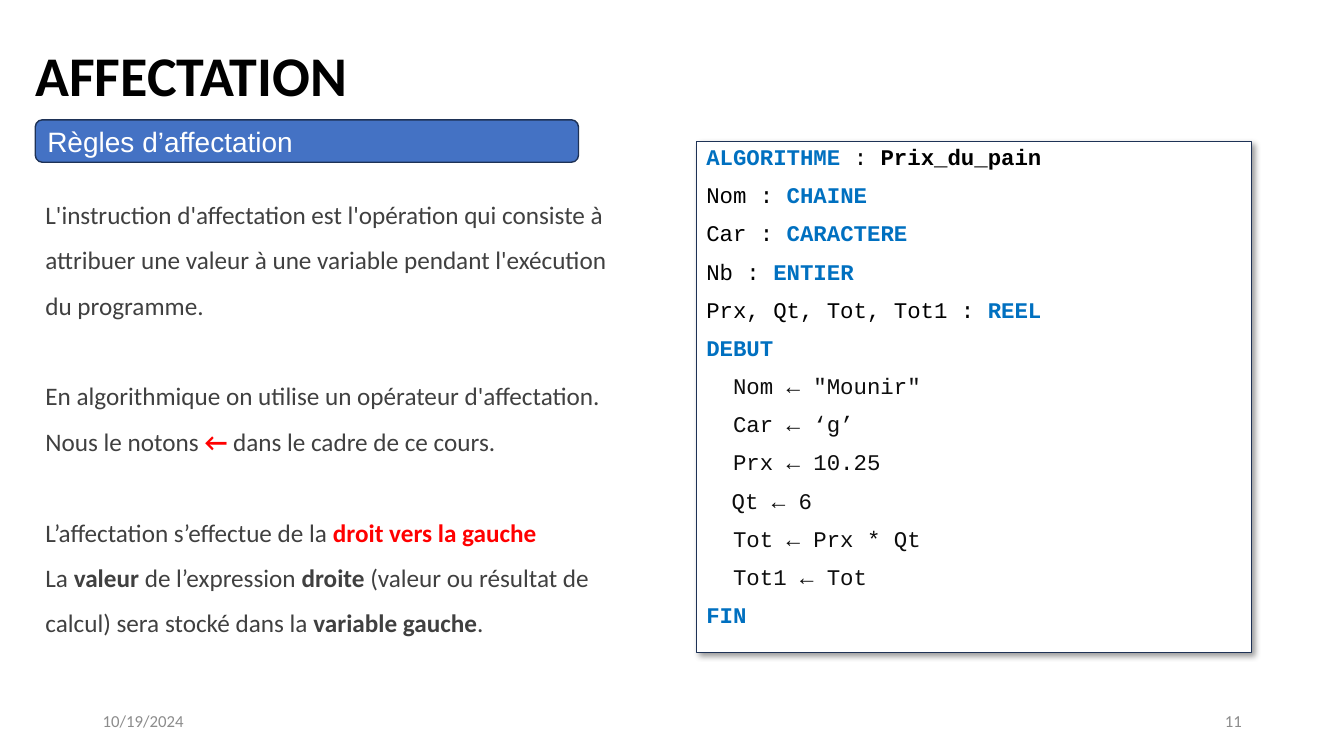
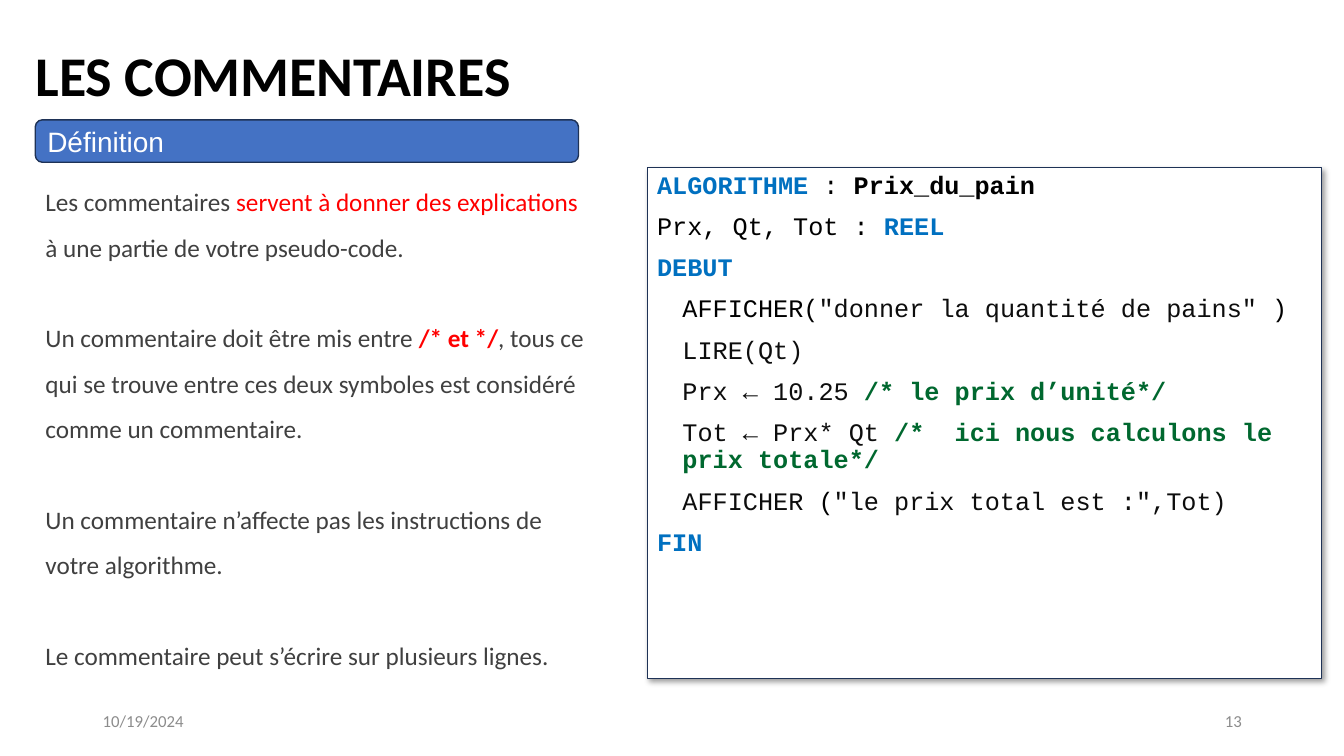
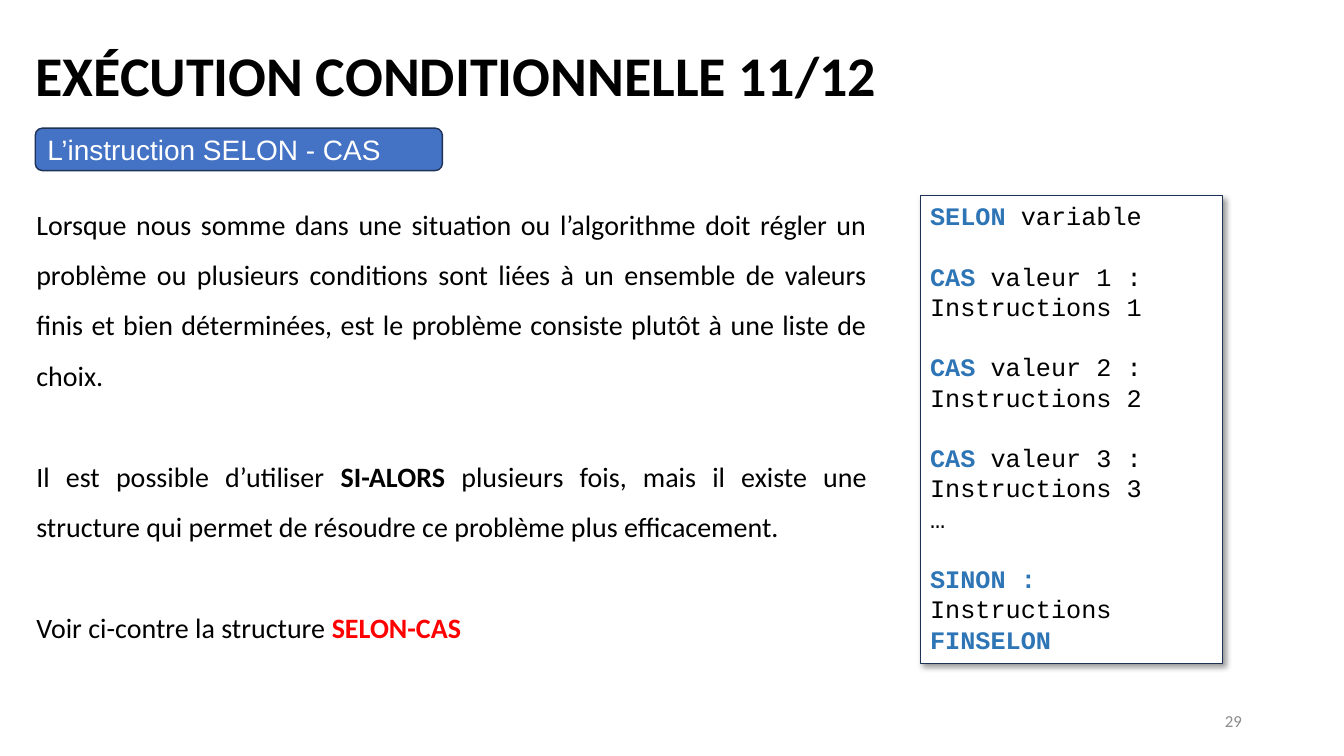
"""Builds three slides of an algorithmics course."""
from dataclasses import dataclass, field

from lxml import etree
from pptx import Presentation
from pptx.dml.color import RGBColor
from pptx.enum.shapes import MSO_SHAPE
from pptx.enum.text import MSO_ANCHOR, MSO_AUTO_SIZE, PP_ALIGN
from pptx.oxml.ns import qn
from pptx.util import Cm, Pt

TOP, MIDDLE = MSO_ANCHOR.TOP, MSO_ANCHOR.MIDDLE
LEFT, RIGHT, JUSTIFY = PP_ALIGN.LEFT, PP_ALIGN.RIGHT, PP_ALIGN.JUSTIFY
FIXED = MSO_AUTO_SIZE.NONE
RECT, ROUND = MSO_SHAPE.RECTANGLE, MSO_SHAPE.ROUNDED_RECTANGLE


def tones():
    """Return colour and weight for each run style."""
    return {
        "black": ("000000", False), "strong": ("000000", True),
        "grey": ("404040", False), "bold": ("404040", True),
        "red": ("FF0000", False), "alert": ("FF0000", True),
        "ink": ("0D0D0D", False), "key": ("0070C0", True),
        "case": ("2E75B6", True), "note": ("00682F", True),
        "white": ("FFFFFF", False), "foot": ("8C8C8C", False),
    }


@dataclass(frozen=True)
class Theme:
    """Hold the colours, fonts and type sizes."""
    sans: str = "Calibri"
    label: str = "Arial"
    mono: str = "Courier New"
    band: str = "4472C4"
    edge: str = "1E3256"
    paper: str = "FFFFFF"
    title: int = 40
    large: int = 20
    text: int = 18
    small: int = 16
    foot: int = 12
    tone: dict = field(default_factory=tones)


THEME = Theme()


def put(item, **vals):
    """Set attributes from format values."""
    for name, val in vals.items():
        setattr(item, name, val)


def place(shape, box):
    """Move a shape to a box given in centimetres."""
    put(shape, **dict(zip(("left", "top", "width", "height"), map(Cm, box))))


def add_run(para, part, tone, font, size):
    """Add one run, a plain string or a (text, tone) pair."""
    text, tone = (part, tone) if isinstance(part, str) else part
    hue, bold = THEME.tone[tone]
    run = para.add_run()
    run.text = text
    put(run.font, name=font, size=Pt(size), bold=bold)
    run.font.color.rgb = RGBColor.from_string(hue)


def write(shape, blocks, tone, font, size, anchor=TOP, align=LEFT,
          lead=1.0, step=0, gap=0, hang=0):
    """Write blocks of paragraphs, with a gap between blocks."""
    frame = shape.text_frame
    put(frame, word_wrap=True, auto_size=FIXED, vertical_anchor=anchor)
    para = None
    for block in blocks:
        for row, parts in enumerate(block):
            before = 0 if para is None else step if row else gap
            para = frame.paragraphs[0] if para is None else frame.add_paragraph()
            props = para._p.get_or_add_pPr()
            props.set("marL", str(Cm(hang)))
            props.set("indent", str(-Cm(hang)))
            etree.SubElement(props, qn("a:buNone"))
            put(para, alignment=align, line_spacing=lead,
                space_before=Pt(before))
            for part in parts:
                add_run(para, part, tone, font, size)


def add_box(slide, kind, box, fill, width):
    """Add a filled and outlined shape without a shadow."""
    shape = slide.shapes.add_shape(kind, *map(Cm, box))
    shape.shadow.inherit = False
    shape.fill.solid()
    shape.fill.fore_color.rgb = RGBColor.from_string(fill)
    shape.line.color.rgb = RGBColor.from_string(THEME.edge)
    shape.line.width = Pt(width)
    return shape


def add_band(slide, text, top=3.02, width=13.69):
    """Add the rounded subtitle band."""
    shape = add_box(slide, ROUND, (0.89, top, width, 1.07), THEME.band, 1)
    write(shape, [[[text]]], "white", THEME.label, THEME.large, MIDDLE)


def add_code(slide, box, blocks, size, **form):
    """Add a code panel with a soft shadow."""
    shape = add_box(slide, RECT, box, THEME.paper, 0.75)
    glow = etree.SubElement(
        shape.element.spPr.find(qn("a:effectLst")), qn("a:outerShdw"),
        blurRad=str(Pt(4)), dist=str(Pt(3)), dir="2700000", algn="tl",
        rotWithShape="0")
    hue = etree.SubElement(glow, qn("a:srgbClr"), val="000000")
    etree.SubElement(hue, qn("a:alpha"), val="40000")
    write(shape, blocks, "black", THEME.mono, size, **form)


def add_foot(slide, left, text, align):
    """Add one footer text."""
    shape = slide.shapes.add_textbox(*map(Cm, (left, 17.65, 7.62, 1.02)))
    write(shape, [[[text]]], "foot", THEME.sans, THEME.foot, MIDDLE, align)


def add_slide(deck, title, page, date=""):
    """Add a slide with its title and footers."""
    slide = deck.slides.add_slide(deck.slide_layouts[1])
    place(slide.shapes.title, (0.64, 0.89, 29.21, 1.96))
    write(slide.shapes.title, [[[title]]], "strong", THEME.sans, THEME.title)
    if date:
        add_foot(slide, 2.34, date, LEFT)
    add_foot(slide, 23.93, page, RIGHT)
    return slide


def add_body(slide, box, blocks, tone, size, **form):
    """Fill the body placeholder."""
    shape = slide.placeholders[1]
    place(shape, box)
    write(shape, blocks, tone, THEME.sans, size, lead=1.5, **form)


def assign(deck, date, prose, listing):
    """Build the slide on assignment."""
    slide = add_slide(deck, "AFFECTATION", "11", date)
    add_band(slide, "Règles d’affectation")
    add_body(slide, (0.89, 4.27, 15.42, 12.17), [
        [["L'instruction d'affectation est l'opération qui consiste à "
          "attribuer une valeur à une variable pendant l'exécution du "
          "programme."]],
        [["En algorithmique on utilise un opérateur d'affectation."],
         ["Nous le notons ", ("←", "alert"), " dans le cadre de ce cours."]],
        [["L’affectation s’effectue de la ",
          ("droit vers la gauche", "alert")],
         ["La ", ("valeur", "bold"), " de l’expression ", ("droite", "bold"),
          " (valeur ou résultat de calcul) sera stocké dans la ",
          ("variable gauche", "bold"), "."]],
    ], **prose)
    types = [("Nom", "CHAINE"), ("Car", "CARACTERE"), ("Nb", "ENTIER"),
             ("Prx, Qt, Tot, Tot1", "REEL")]
    steps = ["  Nom ← \"Mounir\"", "  Car ← ‘g’", "  Prx ← 10.25",
             "\tQt ← 6", "  Tot ← Prx * Qt", "  Tot1 ← Tot"]
    add_code(slide, (17.55, 3.56, 14, 12.88), [[
        [("ALGORITHME ", "key"), ": ", ("Prix_du_pain", "strong")],
        *[[f"{name} : ", (kind, "key")] for name, kind in types],
        [("DEBUT", "key")],
        *[[(step, "ink")] for step in steps],
        [("FIN", "key")],
    ]], THEME.small, **listing)


def comment(deck, date, prose, listing):
    """Build the slide on comments."""
    slide = add_slide(deck, "LES COMMENTAIRES", "13", date)
    add_band(slide, "Définition")
    add_body(slide, (0.89, 4.17, 14.53, 12.88), [
        [["Les commentaires ", ("servent à donner des explications", "red")],
         ["à une partie de votre pseudo-code."]],
        [["Un commentaire doit être mis entre ", ("/* et */", "alert"),
          ", tous ce qui se trouve entre ces deux symboles est considéré "
          "comme un commentaire."]],
        [["Un commentaire n’affecte pas les instructions de votre "
          "algorithme."]],
        [["Le commentaire peut s’écrire sur plusieurs lignes."]],
    ], **prose)
    add_code(slide, (16.31, 4.22, 16.99, 12.88), [[
        [("ALGORITHME ", "key"), ": ", ("Prix_du_pain", "strong")],
        ["Prx, Qt, Tot : ", ("REEL", "key")],
        [("DEBUT", "key")],
        ["\tAFFICHER(", ("\"donner la quantité de pains\" ", "ink"), ")"],
        [("\tLIRE(Qt)", "ink")],
        [("\tPrx ← 10.25 ", "ink"), ("/* le prix d’unité*/", "note")],
        [("\tTot ← Prx* Qt ", "ink"),
         ("/*  ici nous calculons le prix totale*/", "note")],
        [("\tAFFICHER", "ink"), " (", ("\"le prix total est :\",Tot)", "ink")],
        [("FIN", "key")],
    ]], THEME.text, **listing)


def choice(deck):
    """Build the slide on the case statement."""
    slide = add_slide(deck, "EXÉCUTION CONDITIONNELLE 11/12", "29")
    add_band(slide, "L’instruction SELON - CAS", 3.23, 10.26)
    add_body(slide, (0.66, 4.67, 21.44, 11.66), [
        [["Lorsque nous somme dans une situation ou l’algorithme doit régler "
          "un problème ou plusieurs conditions sont liées à un ensemble de "
          "valeurs finis et bien déterminées, est le problème consiste "
          "plutôt à une liste de choix."]],
        [["Il est possible d’utiliser ", ("SI-ALORS ", "strong"),
          "plusieurs fois, mais il existe une structure qui permet de "
          "résoudre ce problème plus efficacement."]],
        [["Voir ci-contre la structure ", ("SELON-CAS", "alert")]],
    ], "black", THEME.large, align=JUSTIFY, gap=36)
    cases = [[[("CAS ", "case"), f"valeur {num} :"], [f"Instructions {num}"]]
             for num in (1, 2, 3)]
    cases[-1].append(["…"])
    add_code(slide, (23.19, 4.93, 7.62, 11.79), [
        [[("SELON ", "case"), "variable"]],
        *cases,
        [[("SINON :", "case")], ["Instructions"], [("FINSELON", "case")]],
    ], THEME.text, gap=21.6)


def main():
    """Build and save the deck."""
    deck = Presentation()
    put(deck, slide_width=Cm(33.87), slide_height=Cm(19.05))
    date = "10/19/2024"
    prose = {"tone": "grey", "size": THEME.text, "anchor": MIDDLE, "gap": 32.5}
    listing = {"lead": 0.9, "step": 10, "hang": 0.64}
    assign(deck, date, prose, listing)
    comment(deck, date, prose, listing)
    choice(deck)
    deck.save("out.pptx")


if __name__ == "__main__":
    main()
